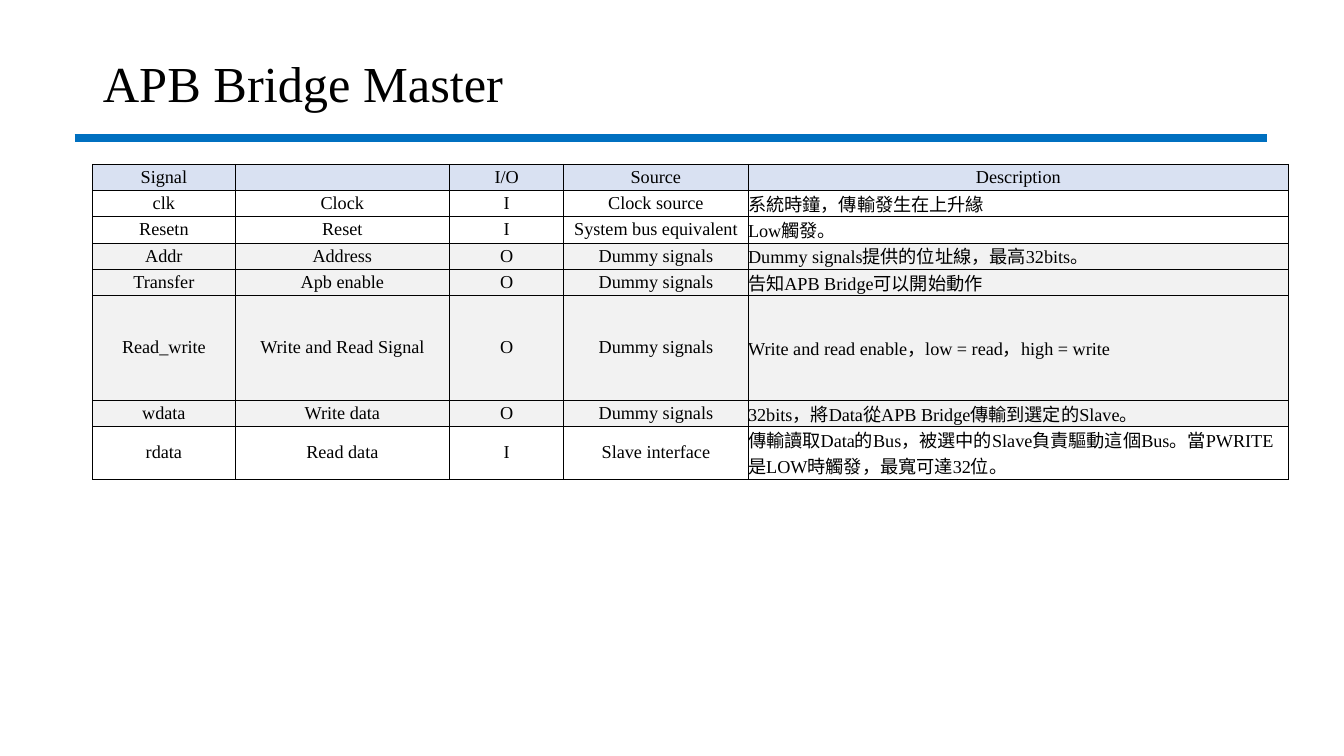
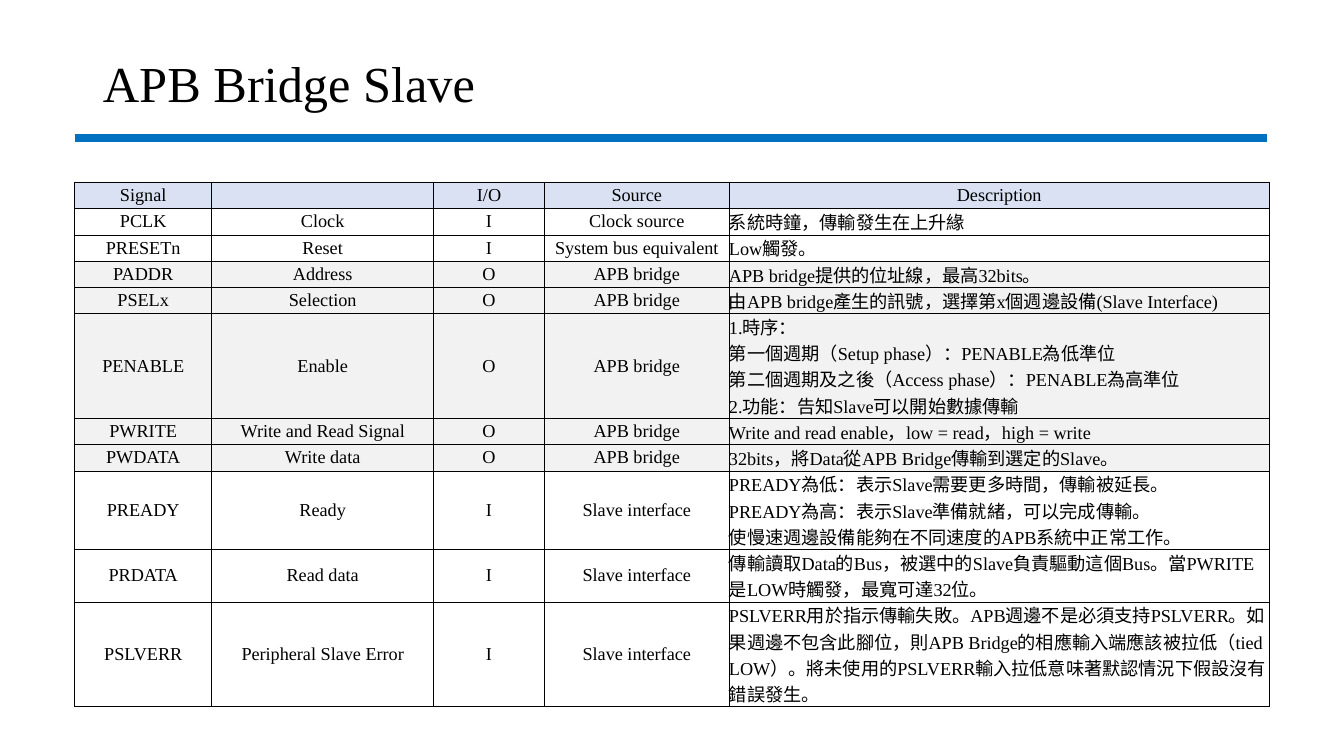
from lxml import etree
from pptx import Presentation
from pptx.dml.color import RGBColor
from pptx.enum.shapes import MSO_CONNECTOR
from pptx.enum.text import MSO_ANCHOR, PP_ALIGN
from pptx.oxml.ns import qn
from pptx.util import Inches, Pt

LEFT, CENTER = PP_ALIGN.LEFT, PP_ALIGN.CENTER
MIDDLE = MSO_ANCHOR.MIDDLE
STRAIGHT = MSO_CONNECTOR.STRAIGHT

BLACK = RGBColor(0x00, 0x00, 0x00)
WHITE = RGBColor(0xFF, 0xFF, 0xFF)
BLUE = RGBColor(0x00, 0x70, 0xC0)
PALE = RGBColor(0xD9, 0xE1, 0xF2)
GREY = RGBColor(0xF2, 0xF2, 0xF2)
FONT = "Times New Roman"
LINE = 0.26  # height of one text line, inches

# Content: each row is its height in lines, then the five cells
HEAD = (1, "Signal", "", "I/O", "Source", "Description")
CLOCK = ("Clock", "I", "Clock source", "系統時鐘，傳輸發生在上升緣")
RESET = ("Reset", "I", "System bus equivalent", "Low觸發。")
MODE = "Write and read enable，low = read，high = write"
WRITE = "32bits，將Data從APB Bridge傳輸到選定的Slave。"
READ = ("Read data", "I", "Slave interface",
        "傳輸讀取Data的Bus，被選中的Slave負責驅動這個Bus。"
        "當PWRITE是LOW時觸發，最寬可達32位。")

MASTER = [
    HEAD,
    (1, "clk", *CLOCK),
    (1, "Resetn", *RESET),
    (1, "Addr", "Address", "O", "Dummy signals",
     "Dummy signals提供的位址線，最高32bits。"),
    (1, "Transfer", "Apb enable", "O", "Dummy signals",
     "告知APB Bridge可以開始動作"),
    (4, "Read_write", "Write and Read Signal", "O", "Dummy signals", MODE),
    (1, "wdata", "Write data", "O", "Dummy signals", WRITE),
    (2, "rdata", *READ),
]
SLAVE = [
    HEAD,
    (1, "PCLK", *CLOCK),
    (1, "PRESETn", *RESET),
    (1, "PADDR", "Address", "O", "APB bridge",
     "APB bridge提供的位址線，最高32bits。"),
    (1, "PSELx", "Selection", "O", "APB bridge",
     "由APB bridge產生的訊號，選擇第x個週邊設備(Slave Interface)"),
    (4, "PENABLE", "Enable", "O", "APB bridge",
     "1.時序：\n"
     "第一個週期（Setup phase）：PENABLE為低準位\n"
     "第二個週期及之後（Access phase）：PENABLE為高準位\n"
     "2.功能：告知Slave可以開始數據傳輸"),
    (1, "PWRITE", "Write and Read Signal", "O", "APB bridge", MODE),
    (1, "PWDATA", "Write data", "O", "APB bridge", WRITE),
    (3, "PREADY", "Ready", "I", "Slave interface",
     "PREADY為低：表示Slave需要更多時間，傳輸被延長。\n"
     "PREADY為高：表示Slave準備就緒，可以完成傳輸。\n"
     "使慢速週邊設備能夠在不同速度的APB系統中正常工作。"),
    (2, "PRDATA", *READ),
    (4, "PSLVERR", "Peripheral Slave Error", "I", "Slave interface",
     "PSLVERR用於指示傳輸失敗。APB週邊不是必須支持PSLVERR。"
     "如果週邊不包含此腳位，則APB Bridge的相應輸入端應該被拉低（tied LOW）。"
     "將未使用的PSLVERR輸入拉低意味著默認情況下假設沒有錯誤發生。"),
]

# Title, table corner, column widths, rows
SLIDES = [
    ("APB Bridge Master", (0.92, 1.63), (1.41, 2.13, 1.13, 1.83, 5.36), MASTER),
    ("APB Bridge Slave", (0.74, 1.81), (1.36, 2.2, 1.1, 1.83, 5.36), SLAVE),
]


def style(para, size, align):
    para.alignment = align
    font = para.font
    font.name, font.size, font.color.rgb = FONT, Pt(size), BLACK


def add_title(slide, text):
    title = slide.shapes.title
    title.left, title.top = Inches(0.92), Inches(0.4)
    title.width, title.height = Inches(11.5), Inches(0.91)
    frame = title.text_frame
    frame.text, frame.vertical_anchor = text, MIDDLE
    para = frame.paragraphs[0]
    para.line_spacing = 0.9
    style(para, 36, LEFT)


def add_rule(slide):
    y = Inches(1.37)
    rule = slide.shapes.add_connector(STRAIGHT, Inches(0.74), y, Inches(12.57), y)
    rule.line.color.rgb, rule.line.width = BLUE, Pt(6)
    etree.SubElement(rule._element.spPr, qn("a:effectLst"))


def add_edges(cell):
    props = cell._tc.get_or_add_tcPr()
    for i, side in enumerate(("lnL", "lnR", "lnT", "lnB")):
        edge = etree.Element(qn("a:" + side), w=str(Pt(0.5)))
        fill = etree.SubElement(edge, qn("a:solidFill"))
        etree.SubElement(fill, qn("a:srgbClr"), val=str(BLACK))
        props.insert(i, edge)


def fill_cell(cell, text, align, color):
    cell.margin_left = cell.margin_right = 0
    cell.margin_top = cell.margin_bottom = 0
    cell.vertical_anchor = MIDDLE
    cell.fill.solid()
    cell.fill.fore_color.rgb = color
    add_edges(cell)
    para = cell.text_frame.paragraphs[0]
    if text:
        para.text = text
    else:  # keeps an empty cell from growing its row
        etree.SubElement(para._p, qn("a:endParaRPr"), sz="1300")
    style(para, 13, align)


def add_grid(slide, corner, widths, rows):
    left, top = map(Inches, corner)
    high = LINE * sum(row[0] for row in rows)
    table = slide.shapes.add_table(len(rows), len(widths), left, top,
                                   Inches(sum(widths)), Inches(high)).table
    table.first_row = table.horz_banding = False
    for col, width in zip(table.columns, widths):
        col.width = Inches(width)
    for r, (lines, *texts) in enumerate(rows):
        table.rows[r].height = Inches(LINE * lines)
        # Outputs are shaded, inputs are white
        color = PALE if r == 0 else GREY if texts[2] == "O" else WHITE
        for c, text in enumerate(texts):
            align = LEFT if r and c == len(widths) - 1 else CENTER
            fill_cell(table.cell(r, c), text, align, color)


def main():
    deck = Presentation()
    deck.slide_width, deck.slide_height = Inches(13.33), Inches(7.5)
    for title, corner, widths, rows in SLIDES:
        slide = deck.slides.add_slide(deck.slide_layouts[5])
        add_rule(slide)
        add_title(slide, title)
        add_grid(slide, corner, widths, rows)
    deck.save("out.pptx")


if __name__ == "__main__":
    main()
